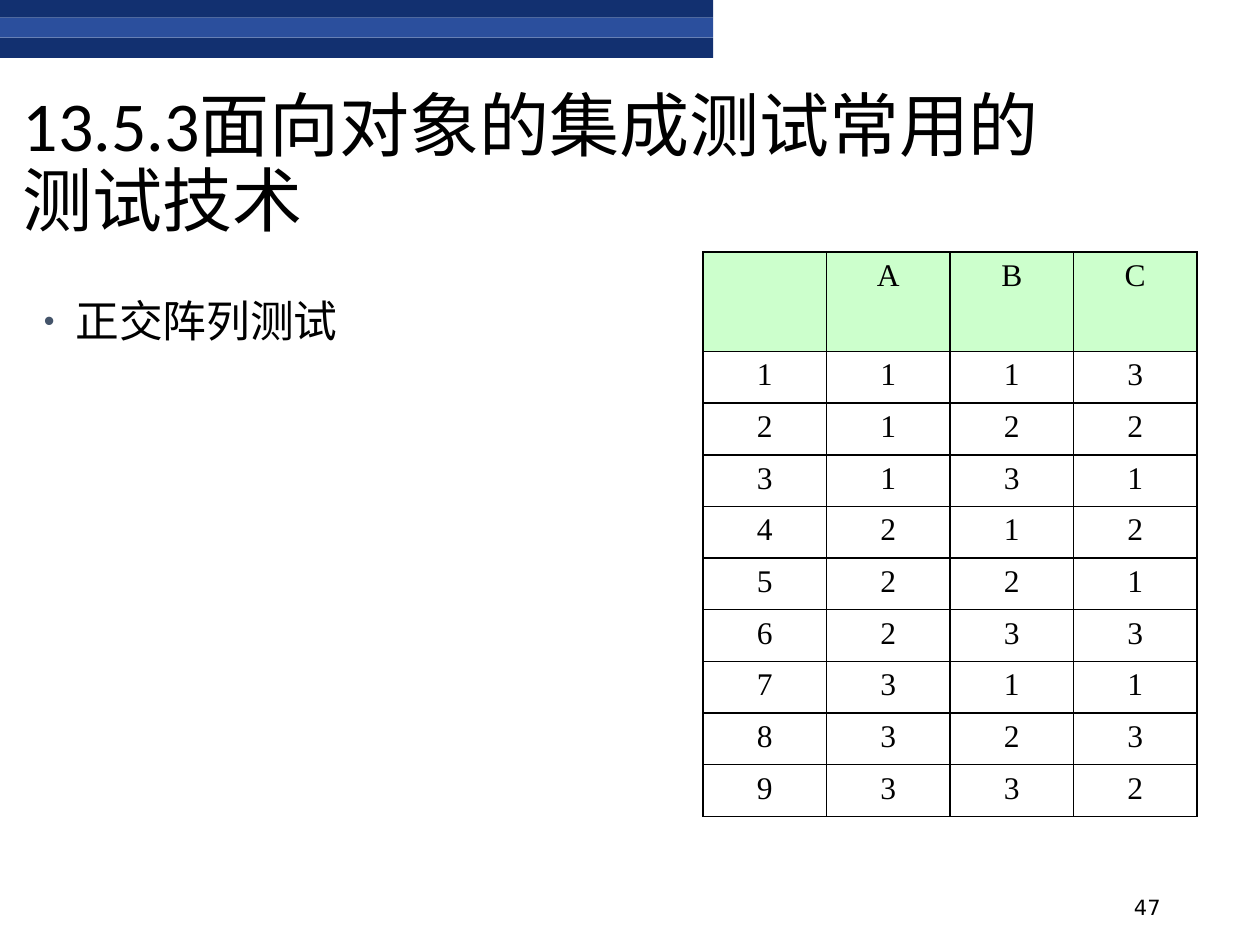
from dataclasses import dataclass

from lxml.etree import SubElement
from pptx import Presentation
from pptx.dml.color import RGBColor
from pptx.enum.shapes import MSO_SHAPE as Shape
from pptx.enum.text import MSO_ANCHOR as Anchor, MSO_AUTO_SIZE as AutoSize, PP_ALIGN as Align
from pptx.oxml.ns import qn
from pptx.util import Inches, Pt


@dataclass(frozen=True)
class Theme:
    navy: str = "123070"
    blue: str = "2B4F9D"
    header: str = "CCFFCC"
    ink: str = "000000"
    bullet: str = "44546A"
    font: str = "Calibri"
    table_font: str = "Times New Roman"
    number_font: str = "DejaVu Sans"
    title_size: int = 40
    body_size: int = 25
    table_size: int = 18
    number_size: int = 12


@dataclass(frozen=True)
class Band:
    top: float
    height: float
    color: str


THEME = Theme()
BANDS = (
    Band(0, 0.14, THEME.navy),
    Band(0.14, 0.16, THEME.blue),
    Band(0.3, 0.16, THEME.navy),
)
ARRAY_ROWS = (
    ("", "A", "B", "C"),
    (1, 1, 1, 3),
    (2, 1, 2, 2),
    (3, 1, 3, 1),
    (4, 2, 1, 2),
    (5, 2, 2, 1),
    (6, 2, 3, 3),
    (7, 3, 1, 1),
    (8, 3, 2, 3),
    (9, 3, 3, 2),
)


def write_text(frame, text: str, *, size: int, font: str = THEME.font, align=Align.LEFT,
               line_spacing: float = 1.0, space_before: int = 0, indent: float = 0):
    paragraph = frame.paragraphs[0]
    paragraph.alignment = align
    paragraph.line_spacing = line_spacing
    paragraph.space_before = Pt(space_before)
    if indent:
        properties = paragraph._p.get_or_add_pPr()
        properties.set("marL", str(Inches(indent)))
        properties.set("indent", str(-Inches(indent)))
    run = paragraph.add_run()
    run.text = text
    run.font.size = Pt(size)
    run.font.name = font
    run.font.color.rgb = RGBColor.from_string(THEME.ink)
    return paragraph


def place(shape, left: float, top: float, width: float, height: float) -> None:
    shape.left, shape.top = Inches(left), Inches(top)
    shape.width, shape.height = Inches(width), Inches(height)


def add_text_box(slide, left: float, top: float, width: float, height: float, anchor=Anchor.TOP):
    box = slide.shapes.add_textbox(Inches(left), Inches(top), Inches(width), Inches(height))
    box.text_frame.word_wrap = True
    box.text_frame.vertical_anchor = anchor
    return box.text_frame


def add_band(slide, band: Band) -> None:
    shape = slide.shapes.add_shape(
        Shape.RECTANGLE, 0, Inches(band.top), Inches(5.66), Inches(band.height))
    shape.shadow.inherit = False
    shape.fill.solid()
    shape.fill.fore_color.rgb = RGBColor.from_string(band.color)
    shape.line.fill.background()


def add_bullet(paragraph) -> None:
    properties = paragraph._p.get_or_add_pPr()
    color = SubElement(properties, qn("a:buClr"))
    SubElement(color, qn("a:srgbClr"), val=THEME.bullet)
    SubElement(properties, qn("a:buSzPct"), val="70000")
    SubElement(properties, qn("a:buFont"), typeface="Arial")
    SubElement(properties, qn("a:buChar"), char="•")


def add_borders(cell) -> None:
    properties = cell._tc.get_or_add_tcPr()
    for side in ("lnL", "lnR", "lnT", "lnB"):
        line = SubElement(properties, qn(f"a:{side}"), w=str(Pt(1)))
        fill = SubElement(line, qn("a:solidFill"))
        SubElement(fill, qn("a:srgbClr"), val=THEME.ink)


def add_array_table(slide) -> None:
    table = slide.shapes.add_table(
        len(ARRAY_ROWS), len(ARRAY_ROWS[0]),
        Inches(5.58), Inches(2), Inches(3.92), Inches(4.5)).table
    table.first_row = table.horz_banding = False
    for row_index, values in enumerate(ARRAY_ROWS):
        is_header = row_index == 0
        table.rows[row_index].height = Inches(0.79 if is_header else 0.41)
        for column_index, value in enumerate(values):
            cell = table.cell(row_index, column_index)
            add_borders(cell)
            if is_header:
                cell.fill.solid()
                cell.fill.fore_color.rgb = RGBColor.from_string(THEME.header)
            else:
                cell.fill.background()
            if value:
                write_text(cell.text_frame, str(value), size=THEME.table_size,
                           font=THEME.table_font, align=Align.CENTER, indent=0.38)


def main() -> None:
    presentation = Presentation()
    presentation.slide_width, presentation.slide_height = Inches(10), Inches(7.5)
    slide = presentation.slides.add_slide(presentation.slide_layouts[5])

    for band in BANDS:
        add_band(slide, band)

    number = add_text_box(slide, 7.06, 6.95, 2.25, 0.4, Anchor.BOTTOM)
    write_text(number, "47", size=THEME.number_size, font=THEME.number_font, align=Align.RIGHT)

    title = slide.shapes.title
    place(title, 0.08, 0.67, 8.64, 1.3)
    title.text_frame.auto_size = AutoSize.NONE
    title.text_frame.vertical_anchor = Anchor.BOTTOM
    write_text(title.text_frame, "13.5.3面向对象的集成测试常用的测试技术",
               size=THEME.title_size, line_spacing=0.9)

    body = add_text_box(slide, 0.25, 2.33, 4.22, 4.16)
    add_bullet(write_text(body, "正交阵列测试", size=THEME.body_size,
                          line_spacing=0.9, space_before=10, indent=0.25))

    add_array_table(slide)
    presentation.save("out.pptx")


if __name__ == "__main__":
    main()
